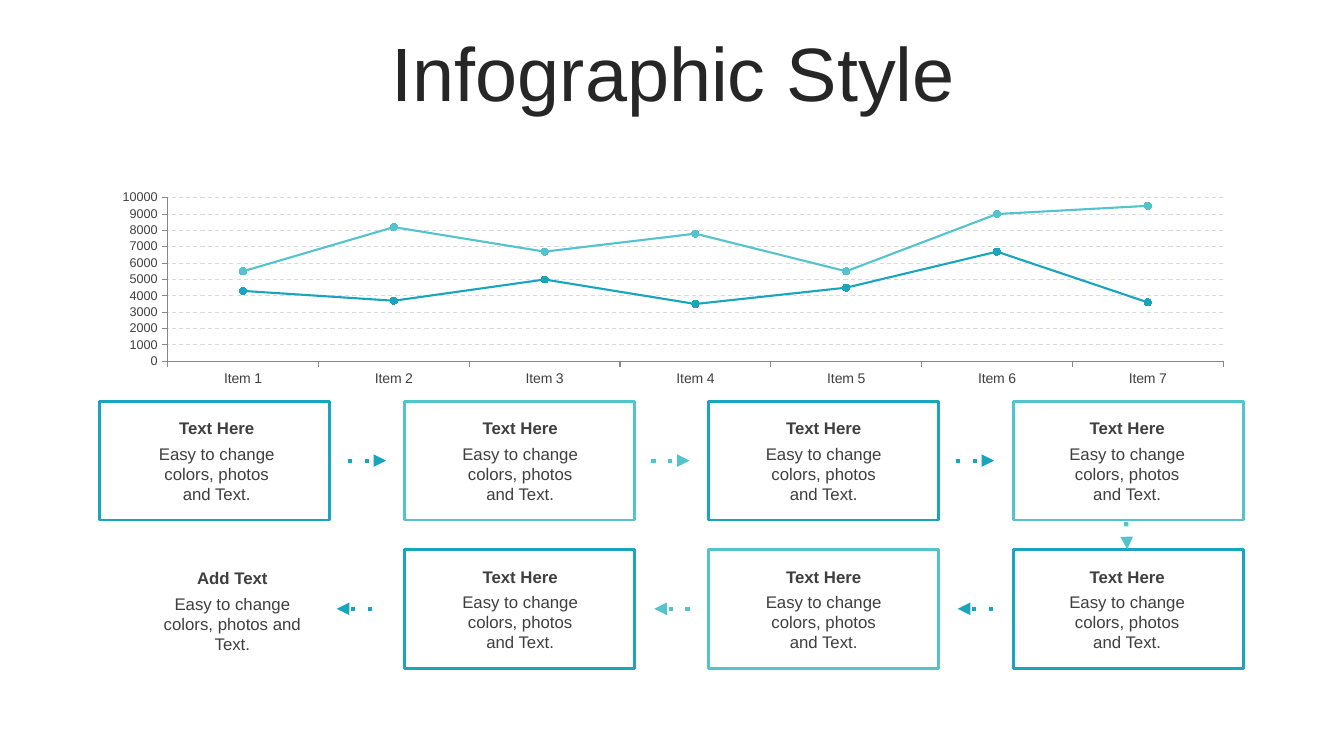
import dataclasses

import pptx
import pptx.chart.data
import pptx.dml.color
import pptx.enum.chart
import pptx.enum.dml
import pptx.enum.shapes
import pptx.enum.text
import pptx.oxml
import pptx.oxml.ns
import pptx.util
from pptx.util import Inches


@dataclasses.dataclass(frozen=True)
class Theme:
    font: str = "Arial"
    teal: str = "19A5BE"
    aqua: str = "53C3CD"
    title: str = "262626"
    text: str = "3F3F3F"
    labels: str = "404040"
    axis: str = "868686"
    grid: str = "D9D9D9"
    white: str = "FFFFFF"
    title_size: int = 54
    text_size: int = 12
    category_size: int = 10
    value_size: int = 9


theme = Theme()
rgb = pptx.dml.color.RGBColor.from_string
namespaces = pptx.oxml.ns.nsdecls


def write_text(shape, text, size=theme.text_size, color=theme.text, bold=False,
               anchor=pptx.enum.text.MSO_ANCHOR.TOP, line_spacing=None):
    frame = shape.text_frame
    frame.word_wrap = True
    frame.auto_size = pptx.enum.text.MSO_AUTO_SIZE.NONE
    frame.vertical_anchor = anchor
    frame.text = text
    paragraph = frame.paragraphs[0]
    paragraph.alignment = pptx.enum.text.PP_ALIGN.CENTER
    paragraph.line_spacing = line_spacing
    font = paragraph.runs[0].font
    font.name = theme.font
    font.size = pptx.util.Pt(size)
    font.bold = bold
    font.color.rgb = rgb(color)


presentation = pptx.Presentation()
presentation.slide_width = Inches(13.33)
presentation.slide_height = Inches(7.5)
slide = presentation.slides.add_slide(presentation.slide_layouts.get_by_name("Title Only"))
shapes = slide.shapes

title = shapes.title
title.left, title.top = Inches(0.35), Inches(0.37)
title.width, title.height = Inches(12.66), Inches(0.79)
write_text(title, "Infographic Style", size=theme.title_size, color=theme.title,
           anchor=pptx.enum.text.MSO_ANCHOR.MIDDLE, line_spacing=0.9)

# Step boxes: left to right on the upper row, then right to left on the lower row
step_colors = [theme.teal, theme.aqua]
upper_top, lower_top = 3.98, 5.45
box_width, box_height = 2.28, 1.18
description = "Easy to change colors, photos and Text."
steps = [(column, upper_top) for column in range(4)]
steps += [(column, lower_top) for column in (3, 2, 1)]

for number, (column, top) in enumerate(steps):
    box = shapes.add_shape(pptx.enum.shapes.MSO_SHAPE.RECTANGLE,
                           Inches(0.99 + 3.02 * column), Inches(top),
                           Inches(box_width), Inches(box_height))
    box.shadow.inherit = False
    box.fill.background()
    box.line.color.rgb = rgb(step_colors[number % 2])
    box.line.width = pptx.util.Pt(2)

    text_left = Inches(1.4 + 3.01 * column)
    body = shapes.add_textbox(text_left, Inches(top + 0.37), Inches(1.5), Inches(0.71))
    write_text(body, description)
    heading = shapes.add_textbox(text_left, Inches(top + 0.12), Inches(1.5), Inches(0.3))
    write_text(heading, "Text Here", bold=True)

# Dotted arrows in step order: start x, start y, end x, end y
upper_middle, lower_middle = upper_top + 0.59, lower_top + 0.59
arrows = [(start, upper_middle, start + 0.38, upper_middle) for start in (3.45, 6.46, 9.48)]
arrows.append((11.17, upper_top + 1.2, 11.18, lower_top))
arrows += [(start, lower_middle, start - 0.35, lower_middle) for start in (9.85, 6.84, 3.69)]

for number, points in enumerate(arrows):
    arrow = shapes.add_connector(pptx.enum.shapes.MSO_CONNECTOR.STRAIGHT,
                                 *(Inches(point) for point in points))
    arrow.line.color.rgb = rgb(step_colors[number % 2])
    arrow.line.width = pptx.util.Pt(3)
    properties = arrow.element.spPr
    line_element = properties.find(pptx.oxml.ns.qn("a:ln"))
    for markup in ('prstDash {} val="dot"', 'tailEnd {} type="triangle"'):
        line_element.append(pptx.oxml.parse_xml(f"<a:{markup.format(namespaces('a'))}/>"))
    properties.append(pptx.oxml.parse_xml(f"<a:effectLst {namespaces('a')}/>"))

# Closing text at the end of the lower row
for text, top, height, bold in [(description, 5.84, 0.69, False), ("Add Text", 5.58, 0.33, True)]:
    closing = shapes.add_textbox(Inches(1.4), Inches(top), Inches(1.81), Inches(height))
    closing.fill.solid()
    closing.fill.fore_color.rgb = rgb(theme.white)
    write_text(closing, text, bold=bold)

# Line chart
chart_data = pptx.chart.data.CategoryChartData()
chart_data.categories = [f"Item {number}" for number in range(1, 8)]
chart_data.add_series("Series 1", (4300, 3700, 5000, 3500, 4500, 6700, 3600))
chart_data.add_series("Series 2", (5500, 8200, 6700, 7800, 5500, 9000, 9500))
chart = shapes.add_chart(pptx.enum.chart.XL_CHART_TYPE.LINE_MARKERS, Inches(0.98), Inches(1.86),
                         Inches(11.38), Inches(2.03), chart_data).chart
chart.has_legend = False
chart.has_title = False
chart.font.name = theme.font
chart.plots[0].vary_by_categories = False

for series, color in zip(chart.plots[0].series, step_colors):
    series.smooth = False
    series.format.line.color.rgb = rgb(color)
    series.format.line.width = pptx.util.Pt(1.5)
    series.marker.style = pptx.enum.chart.XL_MARKER_STYLE.CIRCLE
    series.marker.size = 5
    series.marker.format.fill.solid()
    series.marker.format.fill.fore_color.rgb = rgb(color)
    series.marker.format.line.color.rgb = rgb(color)

for axis, size in [(chart.category_axis, theme.category_size), (chart.value_axis, theme.value_size)]:
    axis.major_tick_mark = pptx.enum.chart.XL_TICK_MARK.OUTSIDE
    axis.format.line.color.rgb = rgb(theme.axis)
    axis.format.line.width = pptx.util.Pt(0.75)
    axis.tick_labels.font.name = theme.font
    axis.tick_labels.font.size = pptx.util.Pt(size)
    axis.tick_labels.font.color.rgb = rgb(theme.labels)

value_axis = chart.value_axis
value_axis.minimum_scale, value_axis.maximum_scale = 0, 10000
value_axis.major_unit = 1000
value_axis.has_major_gridlines = True
grid_line = value_axis.major_gridlines.format.line
grid_line.color.rgb = rgb(theme.grid)
grid_line.width = pptx.util.Pt(0.75)
grid_line.dash_style = pptx.enum.dml.MSO_LINE.DASH

plot_area = chart.element.xpath("c:chart/c:plotArea")[0]
for layout in plot_area.xpath("c:layout"):
    plot_area.remove(layout)
plot_area.insert(0, pptx.oxml.parse_xml(
    f"<c:layout {namespaces('c')}><c:manualLayout>"
    '<c:layoutTarget val="inner"/><c:xMode val="edge"/><c:yMode val="edge"/>'
    '<c:x val="0.06"/><c:y val="0.05"/><c:w val="0.92"/><c:h val="0.8"/>'
    "</c:manualLayout></c:layout>"))

presentation.save("out.pptx")
